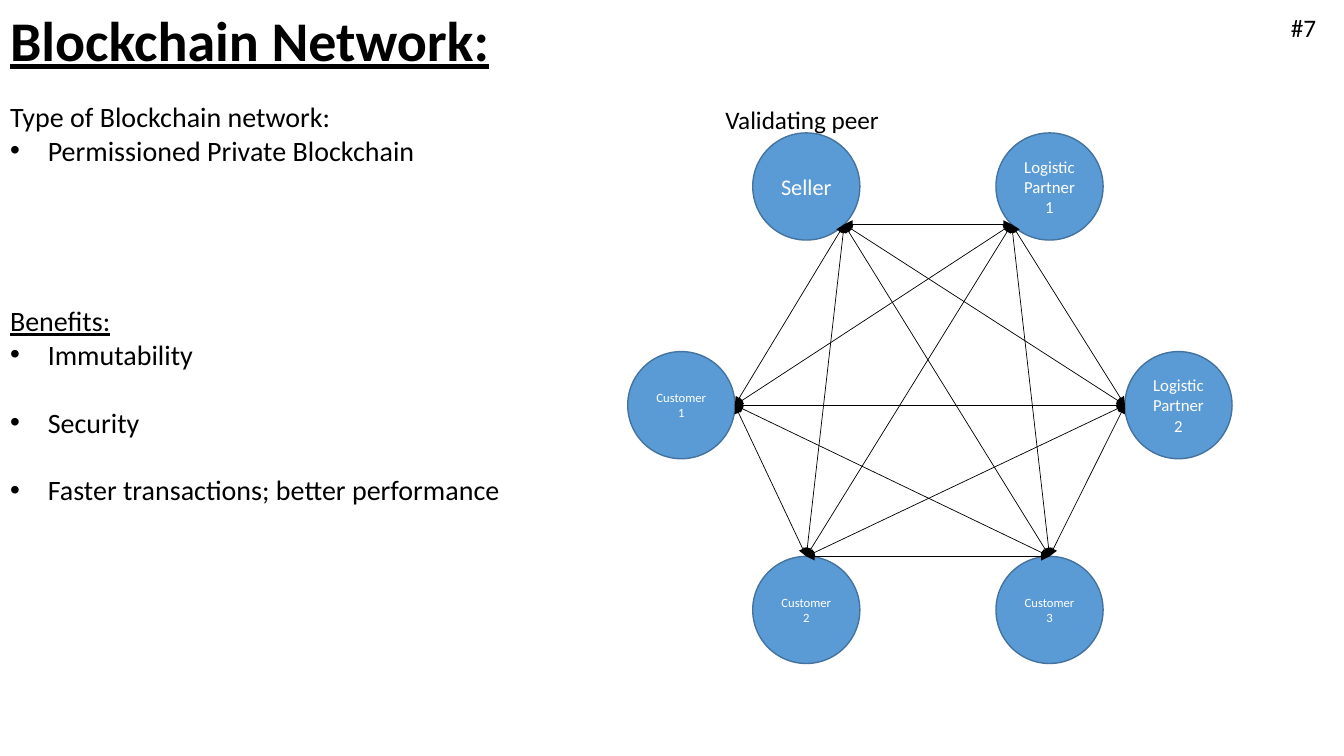
from itertools import combinations
from math import sqrt

from lxml.etree import SubElement
from pptx import Presentation
from pptx.dml.color import RGBColor
from pptx.enum.shapes import MSO_CONNECTOR as Connector, MSO_SHAPE as Shape
from pptx.enum.text import MSO_ANCHOR as Anchor, MSO_AUTO_SIZE as AutoSize, PP_ALIGN as Align
from pptx.oxml.ns import qn
from pptx.util import Cm, Pt

BLACK = RGBColor(0x00, 0x00, 0x00)
WHITE = RGBColor(0xFF, 0xFF, 0xFF)
PEER_BLUE = RGBColor(0x5B, 0x9B, 0xD5)
PEER_EDGE = RGBColor(0x43, 0x73, 0x9E)

LINE_GAP = 24.4
BULLET_INDENT = Cm(0.95)
PEER_SIZE = 2.7
DIAGONAL = 0.5 / sqrt(2)

POINTS = [
    ("Type of Blockchain network:", False, 0),
    ("Permissioned Private Blockchain", True, 0),
    ("Benefits:", False, 4),
    ("Immutability", True, 0),
    ("Security", True, 1),
    ("Faster transactions; better performance", True, 1),
]

PEERS = [
    ("Seller", 16, 3.15, 0.84, (0.5 + DIAGONAL, 0.5 + DIAGONAL)),
    ("Logistic Partner 1", 12, 9.28, 0.84, (0.5 - DIAGONAL, 0.5 + DIAGONAL)),
    ("Logistic Partner 2", 12, 12.53, 6.35, (0, 0.5)),
    ("Customer 1", 9, 0, 6.35, (1, 0.5)),
    ("Customer 2", 9, 3.15, 11.51, (0.5, 0)),
    ("Customer 3", 9, 9.28, 11.51, (0.5, 0)),
]


def set_font(paragraph, size, color=BLACK):
    font = paragraph.font
    font.name = "Calibri"
    font.size = Pt(size)
    font.color.rgb = color
    return font


def place(placeholder, left, top, width, height):
    placeholder.left, placeholder.top = Cm(left), Cm(top)
    placeholder.width, placeholder.height = Cm(width), Cm(height)
    frame = placeholder.text_frame
    frame.auto_size = AutoSize.NONE
    frame.vertical_anchor = Anchor.TOP
    return frame


def add_label(slide, text, left, top, width, height, wrap=True):
    frame = slide.shapes.add_textbox(Cm(left), Cm(top), Cm(width), Cm(height)).text_frame
    frame.word_wrap = wrap
    frame.auto_size = AutoSize.SHAPE_TO_FIT_TEXT
    frame.text = text
    set_font(frame.paragraphs[0], 18)


def fill_heading(slide, left, top, width, height):
    frame = place(slide.shapes.title, left, top, width, height)
    frame.text = "Blockchain Network:"
    heading = frame.paragraphs[0]
    heading.alignment = Align.LEFT
    font = set_font(heading, 40)
    font.bold = font.underline = True


def fill_points(slide, left, top, width, height):
    frame = place(slide.placeholders[1], left, top, width, height)
    frame.text = "\n".join(text for text, _, _ in POINTS)
    for paragraph, (text, bulleted, skipped) in zip(frame.paragraphs, POINTS):
        properties = paragraph._p.get_or_add_pPr()
        indent = BULLET_INDENT if bulleted else 0
        properties.set("marL", str(indent))
        properties.set("indent", str(-indent))
        if not bulleted:
            SubElement(properties, qn("a:buNone"))
        paragraph.space_before = Pt(skipped * LINE_GAP)
        font = set_font(paragraph, 20)
        font.underline = text == "Benefits:"


def add_peer(slide, name, size, left, top):
    peer = slide.shapes.add_shape(Shape.OVAL, Cm(left), Cm(top), Cm(PEER_SIZE), Cm(PEER_SIZE))
    peer.shadow.inherit = False
    peer.fill.solid()
    peer.fill.fore_color.rgb = PEER_BLUE
    peer.line.color.rgb = PEER_EDGE
    peer.line.width = Pt(1)
    frame = peer.text_frame
    frame.word_wrap = True
    frame.vertical_anchor = Anchor.MIDDLE
    frame.text = name
    frame.paragraphs[0].alignment = Align.CENTER
    set_font(frame.paragraphs[0], size, WHITE)


def add_link(slide, start, end):
    link = slide.shapes.add_connector(Connector.STRAIGHT, *map(Cm, start + end))
    link.line.color.rgb = BLACK
    link.line.width = Pt(0.5)
    outline = link.line._get_or_add_ln()
    for arrow in ("a:headEnd", "a:tailEnd"):
        SubElement(outline, qn(arrow), type="triangle")
    SubElement(link._element.spPr, qn("a:effectLst"))


def draw_network(slide, left, top):
    joints = []
    for name, size, x, y, (across, down) in PEERS:
        add_peer(slide, name, size, left + x, top + y)
        joints.append((left + x + across * PEER_SIZE, top + y + down * PEER_SIZE))
    for start, end in combinations(joints, 2):
        add_link(slide, start, end)
    add_label(slide, "Validating peer", left + 2.21, top, 4.6, 1.02)


def main():
    deck = Presentation()
    deck.slide_width, deck.slide_height = Cm(33.87), Cm(19.05)
    slide = deck.slides.add_slide(deck.slide_layouts[1])
    fill_heading(slide, 0, 0, 16.36, 1.96)
    fill_points(slide, 0, 2.39, 15.19, 11.38)
    draw_network(slide, 15.82, 2.51)
    add_label(slide, "#7", 32.28, 0.18, 1.17, 1.02, wrap=False)
    deck.save("out.pptx")


if __name__ == "__main__":
    main()
